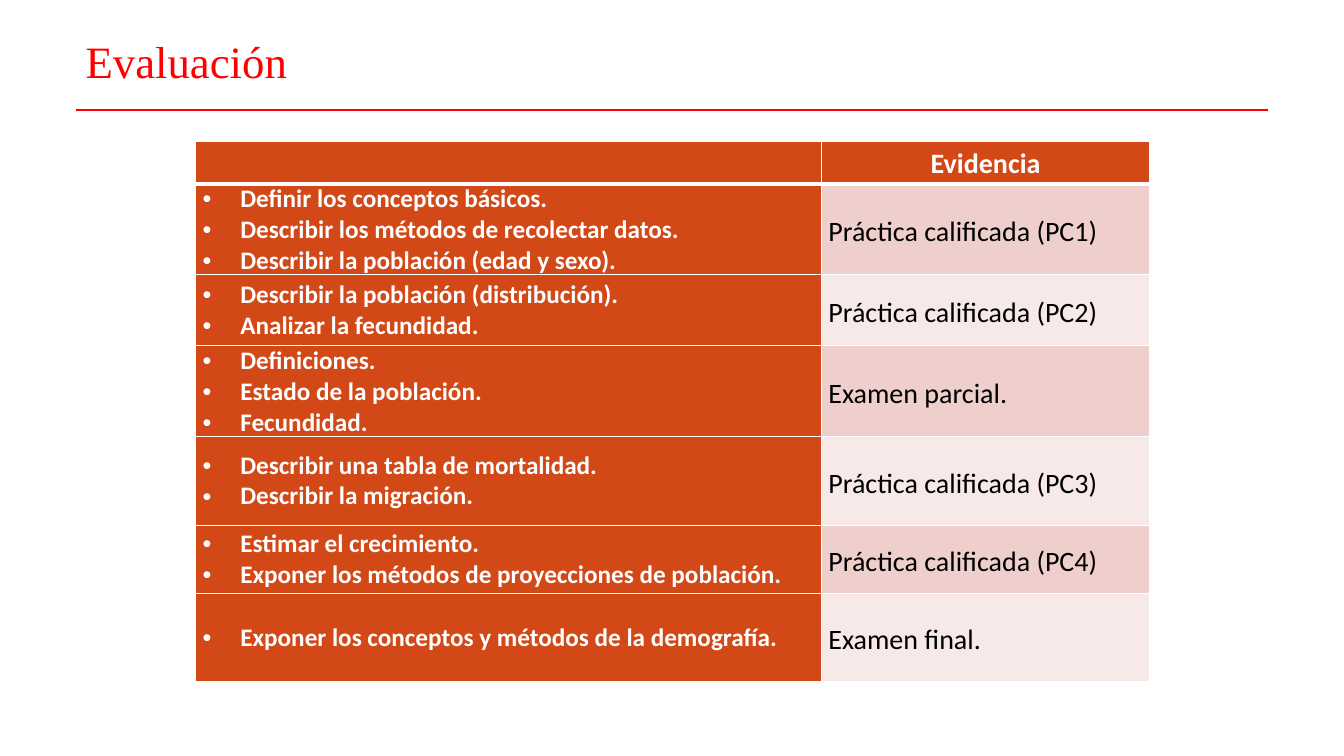
import pptx
import pptx.dml.color
import pptx.enum.shapes
import pptx.enum.text
import pptx.oxml.ns
import pptx.util
from lxml import etree

Pt = pptx.util.Pt
ALIGN = pptx.enum.text.PP_ALIGN
ANCHOR = pptx.enum.text.MSO_ANCHOR

# Content
TITLE = "Evaluación"
EVIDENCE_HEADING = "Evidencia"
ASSESSMENTS = [  # row height, goals, evidence
    (59, ["Definir los conceptos básicos.",
          "Describir los métodos de recolectar datos.",
          "Describir la población (edad y sexo)."], "Práctica calificada (PC1)"),
    (51, ["Describir la población (distribución).",
          "Analizar la fecundidad."], "Práctica calificada (PC2)"),
    (63.4, ["Definiciones.", "Estado de la población.", "Fecundidad."], "Examen parcial."),
    (63.4, ["Describir una tabla de mortalidad.",
            "Describir la migración."], "Práctica calificada (PC3)"),
    (49, ["Estimar el crecimiento.",
          "Exponer los métodos de proyecciones de población."], "Práctica calificada (PC4)"),
    (62.6, ["Exponer los conceptos y métodos de la demografía."], "Examen final."),
]
HEADER_HEIGHT = 30.2
COLUMN_WIDTHS = (447, 234.7)
RED, ORANGE, WHITE, BLACK = "FF0000", "D34817", "FFFFFF", "000000"
BANDS = ("EFCFCC", "F7E9E8")
BULLET_INDENT = 27


def rgb(hex_color):
    return pptx.dml.color.RGBColor.from_string(hex_color)


def add_run(paragraph, text, size, color, bold=False, font="Calibri"):
    run = paragraph.add_run()
    run.text = text
    run.font.name, run.font.size, run.font.bold = font, Pt(size), bold
    run.font.color.rgb = rgb(color)


def add_bullet(paragraph):
    properties = paragraph._p.get_or_add_pPr()
    properties.set("marL", str(Pt(BULLET_INDENT)))
    properties.set("indent", str(-Pt(BULLET_INDENT)))
    font = etree.SubElement(properties, pptx.oxml.ns.qn("a:buFont"))
    font.set("typeface", "Arial")
    etree.SubElement(properties, pptx.oxml.ns.qn("a:buChar")).set("char", "•")


def style_cell(cell, fill, top=1, bottom=1, anchor=ANCHOR.MIDDLE):
    cell.margin_left = cell.margin_right = Pt(5)
    cell.margin_top = cell.margin_bottom = 0
    cell.vertical_anchor = anchor
    properties = cell._tc.get_or_add_tcPr()
    for side, width in (("L", 1), ("R", 1), ("T", top), ("B", bottom)):
        border = etree.SubElement(properties, pptx.oxml.ns.qn("a:ln" + side), w=str(Pt(width)))
        solid = etree.SubElement(border, pptx.oxml.ns.qn("a:solidFill"))
        etree.SubElement(solid, pptx.oxml.ns.qn("a:srgbClr"), val=WHITE)
    cell.fill.solid()
    cell.fill.fore_color.rgb = rgb(fill)


deck = pptx.Presentation()
deck.slide_width, deck.slide_height = Pt(960), Pt(540)
slide = deck.slides.add_slide(deck.slide_layouts[6])

# Title and rule
rule = slide.shapes.add_connector(pptx.enum.shapes.MSO_CONNECTOR.STRAIGHT,
                                  Pt(54), Pt(78.5), Pt(906), Pt(78.5))
rule.line.color.rgb = rgb(RED)
rule.line.width = Pt(1)
etree.SubElement(rule._element.spPr, pptx.oxml.ns.qn("a:effectLst"))

title = slide.shapes.add_textbox(Pt(54), Pt(26), Pt(852), Pt(39)).text_frame
title.word_wrap = True
title.vertical_anchor = ANCHOR.MIDDLE
title.paragraphs[0].line_spacing = 0.9
add_run(title.paragraphs[0], TITLE, 32, RED, font="Times New Roman")

# Table grid
heights = [HEADER_HEIGHT] + [height for height, _, _ in ASSESSMENTS]
table = slide.shapes.add_table(len(heights), len(COLUMN_WIDTHS), Pt(139.7), Pt(101),
                               Pt(sum(COLUMN_WIDTHS)), Pt(sum(heights))).table
table.first_row = table.horz_banding = False
for column, width in zip(table.columns, COLUMN_WIDTHS):
    column.width = Pt(width)
for row, height in zip(table.rows, heights):
    row.height = Pt(height)

# Header row
for cell in table.rows[0].cells:
    style_cell(cell, ORANGE, bottom=3, anchor=ANCHOR.TOP)
heading = table.cell(0, 1).text_frame.paragraphs[0]
heading.alignment, heading.line_spacing = ALIGN.CENTER, 1.15
add_run(heading, EVIDENCE_HEADING, 20, WHITE, bold=True)

# Goals and their evidence
for index, (_, goals, evidence) in enumerate(ASSESSMENTS):
    goals_cell, evidence_cell = table.rows[index + 1].cells
    top = 3 if index == 0 else 1
    style_cell(goals_cell, ORANGE, top)
    style_cell(evidence_cell, BANDS[index % 2], top)
    for number, goal in enumerate(goals):
        frame = goals_cell.text_frame
        paragraph = frame.add_paragraph() if number else frame.paragraphs[0]
        add_bullet(paragraph)
        add_run(paragraph, goal, 18, WHITE, bold=True)
    paragraph = evidence_cell.text_frame.paragraphs[0]
    paragraph.line_spacing = 1.15
    add_run(paragraph, evidence, 20, BLACK)

deck.save("out.pptx")
